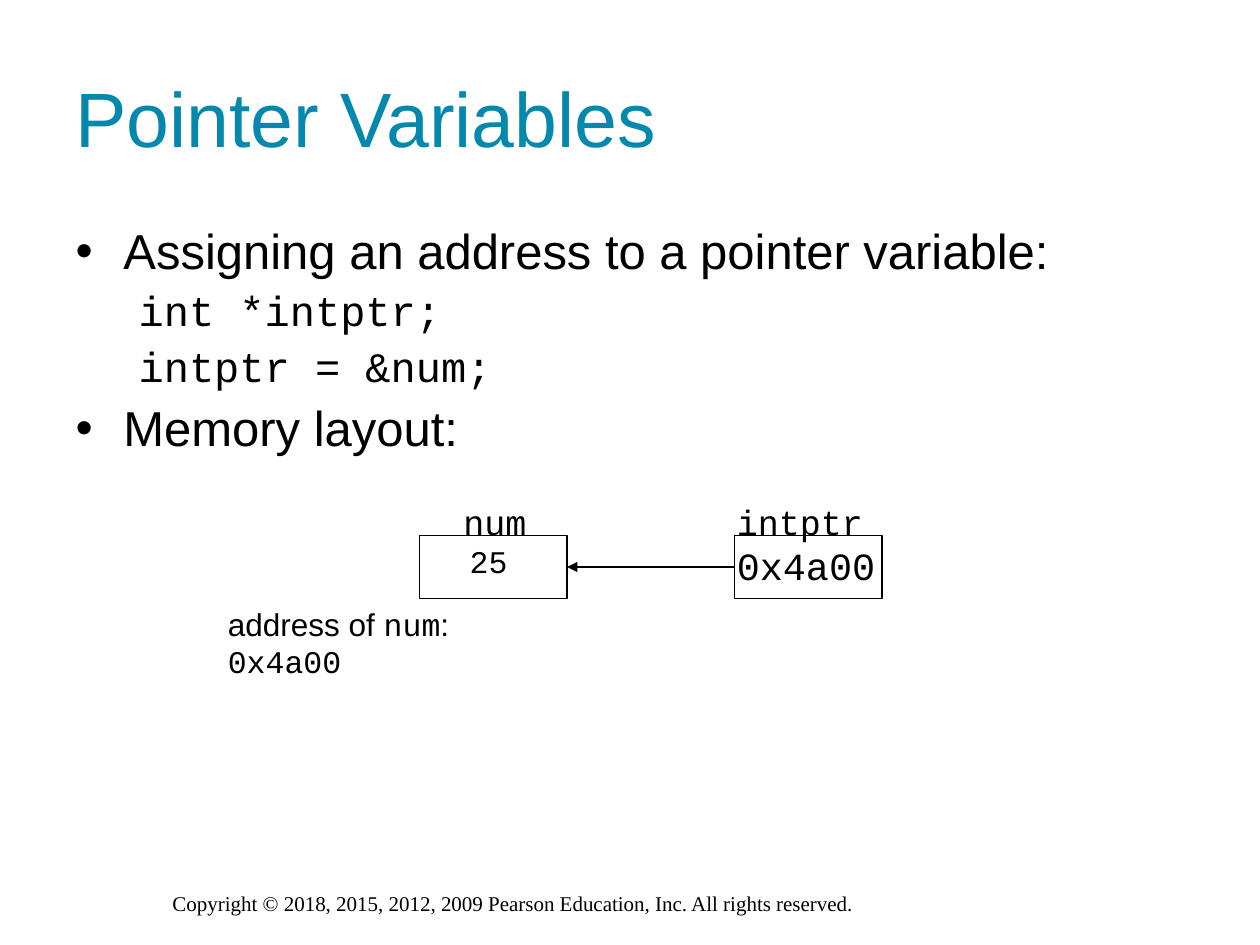
from pptx import Presentation
from pptx.dml.color import RGBColor
from pptx.enum.shapes import MSO_CONNECTOR, MSO_SHAPE
from pptx.enum.text import MSO_ANCHOR, MSO_AUTO_SIZE, PP_ALIGN
from pptx.oxml.ns import qn
from pptx.util import Inches, Pt
from lxml import etree

RECT = MSO_SHAPE.RECTANGLE
STRAIGHT = MSO_CONNECTOR.STRAIGHT
LEFT = PP_ALIGN.LEFT
TOP, MIDDLE = MSO_ANCHOR.TOP, MSO_ANCHOR.MIDDLE
NO_FIT = MSO_AUTO_SIZE.NONE

SANS, MONO, SERIF = "Arial", "Courier New", "Times New Roman"
BLACK, TEAL = "000000", "0488AE"


def color(value):
    return RGBColor.from_string(value)


def child(parent, tag, **attrs):
    return etree.SubElement(parent, qn(tag), attrs)


class SlideBuilder:
    line_width = Pt(0.75)
    levels = {
        0: {"font": SANS, "size": 28, "before": 7, "margin": 0.38, "indent": -0.38},
        1: {"font": MONO, "size": 24, "before": 6, "margin": 0.81, "indent": -0.31},
    }

    def __init__(self, prs):
        self.s = prs.slides.add_slide(prs.slide_layouts[1])

    def run(self, p, text, font, size, fill=BLACK):
        r = p.add_run()
        r.text = text
        for name, value in {"name": font, "size": Pt(size)}.items():
            setattr(r.font, name, value)
        r.font.color.rgb = color(fill)

    def place(self, sp, box, anchor):
        for name, value in zip(("left", "top", "width", "height"), box):
            setattr(sp, name, Inches(value))
        tf = sp.text_frame
        for name, value in {"auto_size": NO_FIT, "vertical_anchor": anchor}.items():
            setattr(tf, name, value)
        return tf

    def title(self, text, box):
        p = self.place(self.s.shapes.title, box, MIDDLE).paragraphs[0]
        p.alignment = LEFT
        self.run(p, text, SANS, 44, TEAL)

    def body(self, items, box):
        tf = self.place(self.s.placeholders[1], box, TOP)
        for i, (level, text) in enumerate(items):
            style = self.levels[level]
            p = tf.add_paragraph() if i else tf.paragraphs[0]
            formats = {
                "level": level,
                "alignment": LEFT,
                "line_spacing": 0.9,
                "space_before": Pt(style["before"] if i else 0),
            }
            for name, value in formats.items():
                setattr(p, name, value)
            pPr = p._p.get_or_add_pPr()
            pPr.set("marL", str(Inches(style["margin"])))
            pPr.set("indent", str(Inches(style["indent"])))
            if level:
                child(pPr, "a:buNone")
            else:
                child(child(pPr, "a:buClr"), "a:srgbClr", val=BLACK)
                child(pPr, "a:buFont", typeface=SANS)
                child(pPr, "a:buChar", char="•")
            self.run(p, text, style["font"], style["size"])

    def text(self, runs, size, box, wrap=False):
        tf = self.s.shapes.add_textbox(*map(Inches, box)).text_frame
        tf.word_wrap = wrap
        for text, font in runs:
            self.run(tf.paragraphs[0], text, font, size)

    def rect(self, box):
        sp = self.s.shapes.add_shape(RECT, *map(Inches, box))
        sp.shadow.inherit = False
        sp.fill.background()
        self.outline(sp)

    def arrow(self, start, end):
        sp = self.s.shapes.add_connector(STRAIGHT, *map(Inches, start + end))
        self.outline(sp)
        child(sp.line._get_or_add_ln(), "a:tailEnd", type="triangle")
        child(sp._element.spPr, "a:effectLst")

    def outline(self, sp):
        sp.line.color.rgb = color(BLACK)
        sp.line.width = self.line_width


def main():
    prs = Presentation()
    prs.slide_width, prs.slide_height = Inches(10), Inches(7.5)
    b = SlideBuilder(prs)

    b.text(
        [("Copyright © 2018, 2015, 2012, 2009 Pearson Education, Inc. All rights reserved.", SERIF)],
        12, (1.27, 7.02, 5.81, 0.3), wrap=True,
    )
    b.title("Pointer Variables", (0.5, 0.3, 9, 1.25))
    b.body(
        [
            (0, "Assigning an address to a pointer variable:"),
            (1, "int *intptr;"),
            (1, "intptr = &num;"),
            (0, "Memory layout:"),
        ],
        (0.5, 1.75, 9, 4.95),
    )

    cell_top, cell_w, cell_h = 4.25, 1.17, 0.5
    num_x, ptr_x = 3.33, 5.83
    for x in (num_x, ptr_x):
        b.rect((x, cell_top, cell_w, cell_h))

    labels = [
        ("num", 20, (3.58, 3.92, 0.7, 0.44)),
        ("intptr", 20, (5.75, 3.92, 1.2, 0.44)),
        ("25", 18, (3.63, cell_top, 0.5, 0.4)),
        ("0x4a00", 22, (5.75, cell_top, 1.3, 0.47)),
    ]
    for text, size, box in labels:
        b.text([(text, MONO)], size, box)

    mid = cell_top + cell_h / 2
    b.arrow((ptr_x, mid), (num_x + cell_w, mid))
    b.text(
        [("address of ", SANS), ("num", MONO), (": ", SANS), ("0x4a00", MONO)],
        18, (1.71, cell_top + cell_h, 2.92, 0.4),
    )
    prs.save("out.pptx")


if __name__ == "__main__":
    main()
